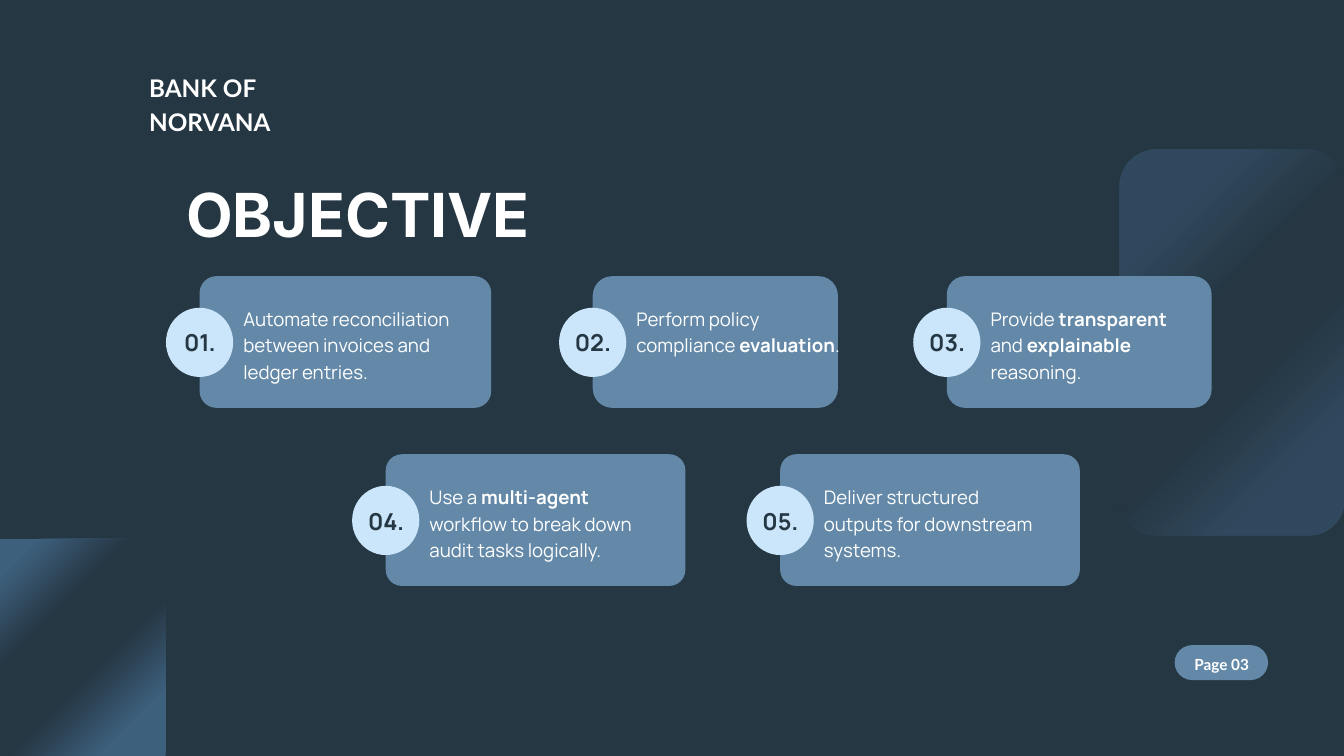
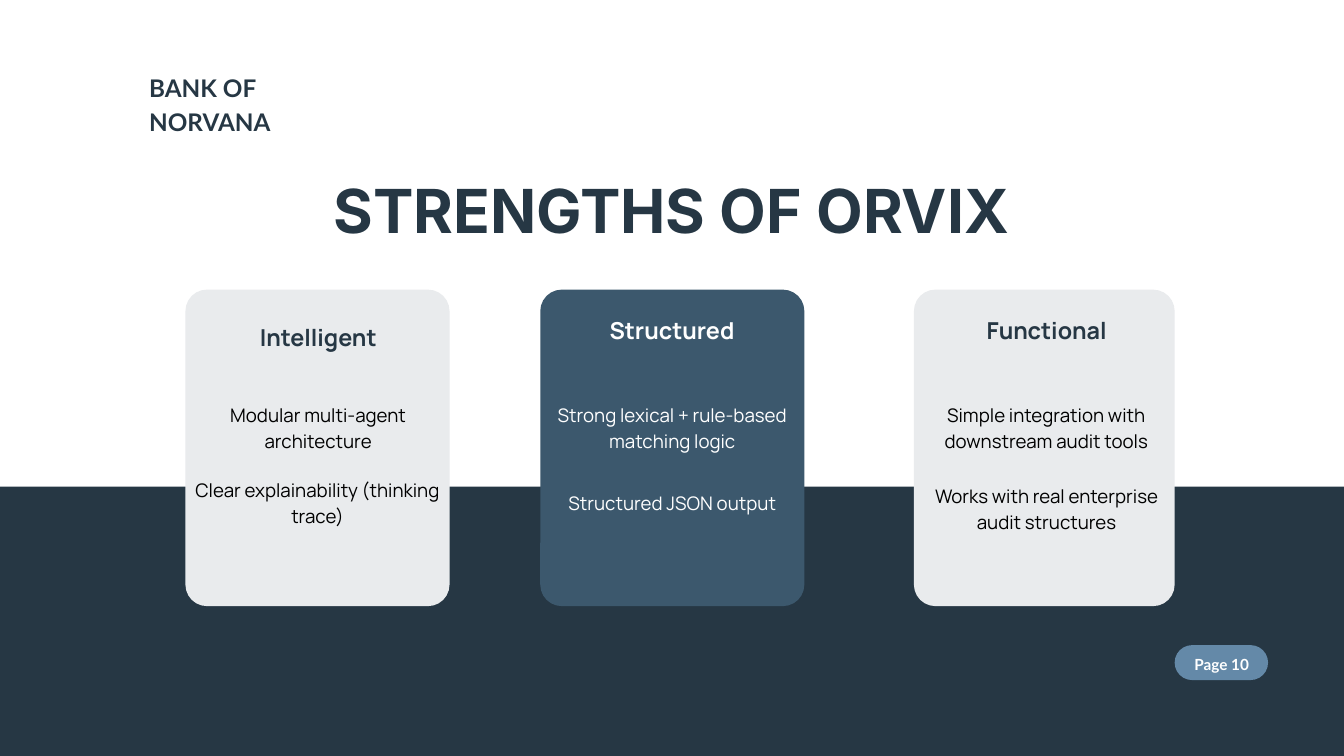
import lxml.etree
import pptx
import pptx.dml.color
import pptx.enum.shapes
import pptx.enum.text
import pptx.oxml
import pptx.oxml.ns
import pptx.util

SCALE = 9144
SHAPES = pptx.enum.shapes.MSO_SHAPE
ALIGN = pptx.enum.text.PP_ALIGN

NAVY, STEEL, SLATE, BLUE = "263744", "6489A8", "3C586D", "3D607D"
ICE, MIST, WHITE, BLACK = "CBE5FA", "E9EBED", "FFFFFF", "000000"
SHEEN = [(0, BLUE), (20, BLUE), (40, NAVY), (60, NAVY), (80, BLUE), (100, BLUE)]

FORMATS = {
    "brand": ({"name": "Lato", "size": pptx.util.Pt(26), "bold": True}, 36.4),
    "page": ({"name": "Lato", "size": pptx.util.Pt(16.4), "bold": True}, 22.9),
    "title": ({"name": "Inter", "size": pptx.util.Pt(65), "bold": True}, 65),
    "heading": ({"name": "Manrope", "size": pptx.util.Pt(25), "bold": True}, 35),
    "body": ({"name": "Manrope", "size": pptx.util.Pt(20), "bold": False}, 28),
}

CARD_HEIGHT = 196
OBJECTIVES = [
    (297, 411, 434, 25, 342, "Automate reconciliation between invoices and ledger entries."),
    (882, 411, 365, 29, 313, "Perform policy compliance **evaluation**."),
    (1409, 411, 394, 27, 313, "Provide **transparent** and **explainable** reasoning."),
    (574, 676, 446, 24, 339, "Use a **multi-agent **workflow to break down audit tasks logically."),
    (1161, 676, 446, 24, 339, "Deliver structured outputs for downstream systems."),
]

STRENGTHS = [
    {"card": (276, 431, 393, 471), "fill": MIST, "heading_color": NAVY, "body_color": BLACK,
     "heading": ("Intelligent", (326, 474, 295, 48)),
     "points": [("Modular multi-agent architecture", (287, 595, 373, 79)),
                ("Clear explainability (thinking trace)", (286, 707, 373, 79))]},
    {"card": (804, 431, 393, 471), "fill": SLATE, "heading_color": WHITE, "body_color": WHITE,
     "heading": ("Structured", (865, 464, 270, 48)),
     "points": [("Strong lexical + rule-based matching logic", (814, 595, 373, 79)),
                ("Structured JSON output", (814, 727, 373, 40))]},
    {"card": (1360, 431, 388, 471), "fill": MIST, "heading_color": NAVY, "body_color": BLACK,
     "heading": ("Functional", (1401, 464, 313, 48)),
     "points": [("Simple integration with downstream audit tools", (1345, 595, 424, 79)),
                ("Works with real enterprise audit structures", (1376, 716, 363, 79))]},
]


def px(*lengths):
    """Turn px lengths into EMU."""
    return [pptx.util.Emu(length * SCALE) for length in lengths]


def paint(color_format, color):
    """Set a colour format from a hex string."""
    color_format.rgb = pptx.dml.color.RGBColor.from_string(color)


def add_figure(slide, kind, area, color, radius=None):
    """Add a filled shape without outline, with an optional corner radius in px."""
    shape = slide.shapes.add_shape(kind, *px(*area))
    shape.shadow.inherit = False
    shape.line.fill.background()
    shape.fill.solid()
    paint(shape.fill.fore_color, color)
    if radius is not None:
        shape.adjustments[0] = radius / min(area[2:])
    return shape


def add_sheen(slide, area, radius, opacity=100):
    """Add a rounded panel with a diagonal sheen."""
    shape = add_figure(slide, SHAPES.ROUNDED_RECTANGLE, area, NAVY, radius)
    stops = "".join(
        f'<a:gs pos="{position * 1000}"><a:srgbClr val="{color}">'
        f'<a:alpha val="{opacity * 1000}"/></a:srgbClr></a:gs>'
        for position, color in SHEEN)
    gradient = pptx.oxml.parse_xml(
        f'<a:gradFill {pptx.oxml.ns.nsdecls("a")} rotWithShape="1"><a:gsLst>{stops}</a:gsLst>'
        '<a:lin ang="2700000" scaled="0"/></a:gradFill>')
    properties = shape.element.spPr
    properties.replace(properties.find(pptx.oxml.ns.qn("a:solidFill")), gradient)


def add_text(slide, text, area, style, color, align=ALIGN.LEFT):
    """Add a text box; parts between double asterisks are bold."""
    box = slide.shapes.add_textbox(*px(*area))
    frame = box.text_frame
    frame_format = {"margin_left": 0, "margin_top": 0, "margin_right": 0, "margin_bottom": 0,
                    "word_wrap": True,
                    "auto_size": pptx.enum.text.MSO_AUTO_SIZE.SHAPE_TO_FIT_TEXT}
    for name, value in frame_format.items():
        setattr(frame, name, value)
    font_format, line_spacing = FORMATS[style]
    para = frame.paragraphs[0]
    para.alignment = align
    para.line_spacing = pptx.util.Pt(line_spacing)
    for index, part in enumerate(text.split("**")):
        span = para.add_run()
        span.text = part
        for name, value in font_format.items():
            setattr(span.font, name, value)
        if index % 2:
            span.font.bold = True
        paint(span.font.color, color)


def add_page(deck, background):
    """Add a blank slide with a plain background."""
    slide = deck.slides.add_slide(deck.slide_layouts[6])
    slide.background.fill.solid()
    paint(slide.background.fill.fore_color, background)
    return slide


def add_frame(slide, number, brand_color):
    """Add the brand line and the page pill."""
    add_text(slide, "BANK OF NORVANA", (222, 102, 344, 49), "brand", brand_color)
    add_figure(slide, SHAPES.ROUNDED_RECTANGLE, (1748, 960, 139, 52), STEEL, 26)
    add_text(slide, f"Page {number:02}", (1756, 970, 124, 30), "page", WHITE, ALIGN.CENTER)


def add_objective(slide, number, left, top, width, radius, text_width, text):
    """Add a card with a numbered disc on its left edge."""
    add_figure(slide, SHAPES.ROUNDED_RECTANGLE, (left, top, width, CARD_HEIGHT), STEEL, radius)
    add_figure(slide, SHAPES.OVAL, (left - 50, top + 47, 100, 103), ICE)
    add_text(slide, f"{number:02}.", (left - 35, top + 71, 71, 48), "heading", NAVY, ALIGN.CENTER)
    add_text(slide, text, (left + 65, top + 42, text_width, 117), "body", WHITE)


def add_strength(slide, strength):
    """Add a tall card with a heading and its points."""
    add_figure(slide, SHAPES.ROUNDED_RECTANGLE, strength["card"], strength["fill"], 32)
    add_text(slide, *strength["heading"], "heading", strength["heading_color"], ALIGN.CENTER)
    for text, area in strength["points"]:
        add_text(slide, text, area, "body", strength["body_color"], ALIGN.CENTER)


def build_objective_page(deck):
    """Build the page of numbered objectives."""
    slide = add_page(deck, NAVY)
    add_sheen(slide, (1666, 222, 334, 575), 54, 46)
    add_sheen(slide, (-86, 802, 333, 368), 54)
    add_frame(slide, 3, WHITE)
    add_text(slide, "OBJECTIVE", (277, 281, 791, 94), "title", WHITE)
    for number, objective in enumerate(OBJECTIVES, 1):
        add_objective(slide, number, *objective)


def build_strengths_page(deck):
    """Build the page of three strengths."""
    slide = add_page(deck, WHITE)
    add_figure(slide, SHAPES.RECTANGLE, (-60, 724, 2119, 417), NAVY)
    add_frame(slide, 10, NAVY)
    add_text(slide, "STRENGTHS OF ORVIX", (360, 275, 1279, 94), "title", NAVY, ALIGN.CENTER)
    for strength in STRENGTHS:
        add_strength(slide, strength)


def main():
    """Build and save the deck."""
    deck = pptx.Presentation()
    deck.slide_width, deck.slide_height = px(2000, 1125)
    build_objective_page(deck)
    build_strengths_page(deck)
    deck.save("out.pptx")


if __name__ == "__main__":
    main()
